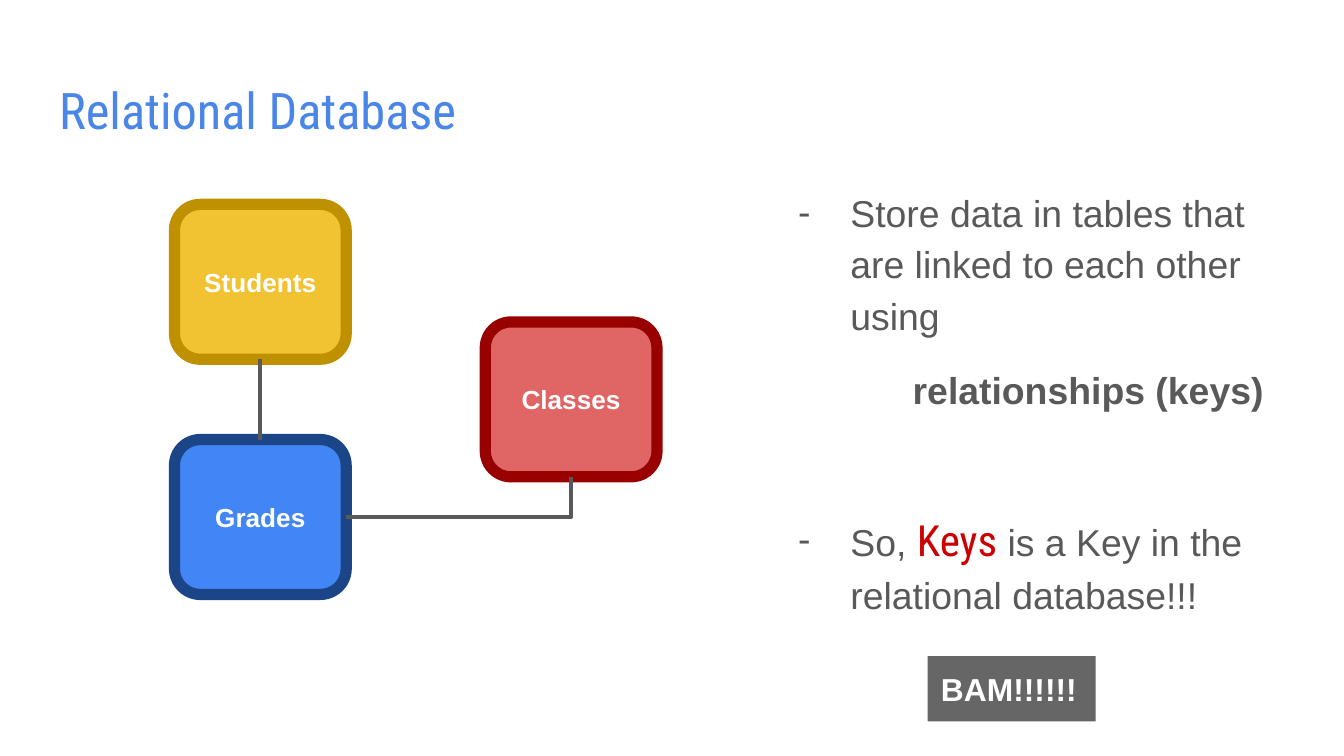
import pptx
import pptx.dml.color
import pptx.enum.shapes
import pptx.enum.text
import pptx.oxml.ns
import pptx.util
from lxml import etree

Pt = pptx.util.Pt
RGBColor = pptx.dml.color.RGBColor
Shapes = pptx.enum.shapes.MSO_SHAPE
Connectors = pptx.enum.shapes.MSO_CONNECTOR
Anchor = pptx.enum.text.MSO_ANCHOR
Align = pptx.enum.text.PP_ALIGN
qn = pptx.oxml.ns.qn

WHITE = RGBColor(0xFF, 0xFF, 0xFF)
GRAY = RGBColor(0x59, 0x59, 0x59)
DARK_GRAY = RGBColor(0x66, 0x66, 0x66)
TITLE_BLUE = RGBColor(0x4A, 0x86, 0xE8)
KEY_RED = RGBColor(0xCC, 0x00, 0x00)
BLUE, NAVY = RGBColor(0x42, 0x85, 0xF4), RGBColor(0x1C, 0x45, 0x87)
YELLOW, GOLD = RGBColor(0xF1, 0xC2, 0x32), RGBColor(0xBF, 0x90, 0x00)
RED, MAROON = RGBColor(0xE0, 0x66, 0x66), RGBColor(0x99, 0x00, 0x00)

TITLE = {"name": "Roboto Condensed", "size": Pt(27), "color": TITLE_BLUE}
BODY = {"name": "Arial", "size": Pt(20), "color": GRAY}
STRONG = {**BODY, "bold": True}
KEY = {"name": "Roboto Condensed", "size": Pt(23), "color": KEY_RED}
LABEL = {"name": "Arial", "size": Pt(14), "color": WHITE, "bold": True}
CALLOUT = {**LABEL, "size": Pt(17)}

NODE_WIDTH, NODE_HEIGHT = 92, 83
TABLES = {
    "Grades": (93.5, 235.5, BLUE, NAVY),
    "Students": (93.5, 109.5, YELLOW, GOLD),
    "Classes": (260, 172.5, RED, MAROON),
}

# Paragraphs: runs, left indent, space before, bulleted
POINTS = [
    ([("Store data in tables that are linked to each other using", BODY)], 36, 0, True),
    ([("relationships (keys)", STRONG)], 69.4, 12, False),
    ([("So, ", BODY), ("Keys", KEY),
      (" is a Key in the relational database!!!", BODY)], 36, 50.4, True),
]


def add_run(para, text, style):
    span = para.add_run()
    span.text = text
    for key, value in style.items():
        if key == "color":
            span.font.color.rgb = value
        else:
            setattr(span.font, key, value)


def format_frame(frame, anchor=Anchor.TOP):
    settings = {"word_wrap": True, "vertical_anchor": anchor}
    for side in ("left", "top", "right", "bottom"):
        settings[f"margin_{side}"] = Pt(7.2)
    for key, value in settings.items():
        setattr(frame, key, value)


def add_title(page, text):
    title = page.shapes.title
    place = {"left": 24.5, "top": 35, "width": 671, "height": 45}
    for key, value in place.items():
        setattr(title, key, Pt(value))
    format_frame(title.text_frame)
    para = title.text_frame.paragraphs[0]
    para.alignment = Align.LEFT
    add_run(para, text, TITLE)


def add_box(page, kind, place, text, style, fill, border=None, centered=False):
    box = page.shapes.add_shape(kind, *map(Pt, place))
    box.shadow.inherit = False
    box.fill.solid()
    box.fill.fore_color.rgb = fill
    if border is None:
        box.line.fill.background()
    else:
        box.line.color.rgb = border
        box.line.width = Pt(6)
    format_frame(box.text_frame, Anchor.MIDDLE if centered else Anchor.TOP)
    para = box.text_frame.paragraphs[0]
    para.alignment = Align.CENTER if centered else Align.LEFT
    add_run(para, text, style)
    return box


def add_link(page, kind, start, start_side, end, end_side):
    link = page.shapes.add_connector(kind, 0, 0, 0, 0)
    link.begin_connect(start, start_side)
    link.end_connect(end, end_side)
    link.line.color.rgb = GRAY
    link.line.width = Pt(2.25)
    properties = link._element.spPr
    etree.SubElement(properties, qn("a:effectLst"))
    if kind == Connectors.ELBOW:
        # One bend only
        properties.find(qn("a:prstGeom")).set("prst", "bentConnector2")


def add_dash(para):
    properties = para._p.get_or_add_pPr()
    properties.set("indent", str(Pt(-28)))
    color = etree.SubElement(properties, qn("a:buClr"))
    etree.SubElement(color, qn("a:srgbClr"), val=str(GRAY))
    etree.SubElement(properties, qn("a:buFont"), typeface="Arial")
    etree.SubElement(properties, qn("a:buChar"), char="-")


def add_points(page, points):
    box = page.shapes.add_textbox(Pt(412.5), Pt(91), Pt(283), Pt(269))
    frame = box.text_frame
    format_frame(frame)
    for index, (runs, indent, space, bulleted) in enumerate(points):
        para = frame.add_paragraph() if index else frame.paragraphs[0]
        para.line_spacing = 1.15
        para.space_before = Pt(space)
        para._p.get_or_add_pPr().set("marL", str(Pt(indent)))
        if bulleted:
            add_dash(para)
        for text, style in runs:
            add_run(para, text, style)


def main():
    deck = pptx.Presentation()
    deck.slide_width, deck.slide_height = Pt(720), Pt(405)
    page = deck.slides.add_slide(deck.slide_layouts.get_by_name("Title Only"))

    # Title and text
    add_title(page, "Relational Database")
    add_points(page, POINTS)

    # Linked tables
    nodes = {}
    for name, (left, top, fill, border) in TABLES.items():
        place = (left, top, NODE_WIDTH, NODE_HEIGHT)
        nodes[name] = add_box(page, Shapes.ROUNDED_RECTANGLE, place, name,
                              LABEL, fill, border, centered=True)
    add_link(page, Connectors.STRAIGHT, nodes["Students"], 2, nodes["Grades"], 0)
    add_link(page, Connectors.ELBOW, nodes["Grades"], 3, nodes["Classes"], 2)

    # Callout
    add_box(page, Shapes.RECTANGLE, (497, 351.5, 90, 35), "BAM!!!!!!",
            CALLOUT, DARK_GRAY)

    deck.save("out.pptx")


if __name__ == "__main__":
    main()
